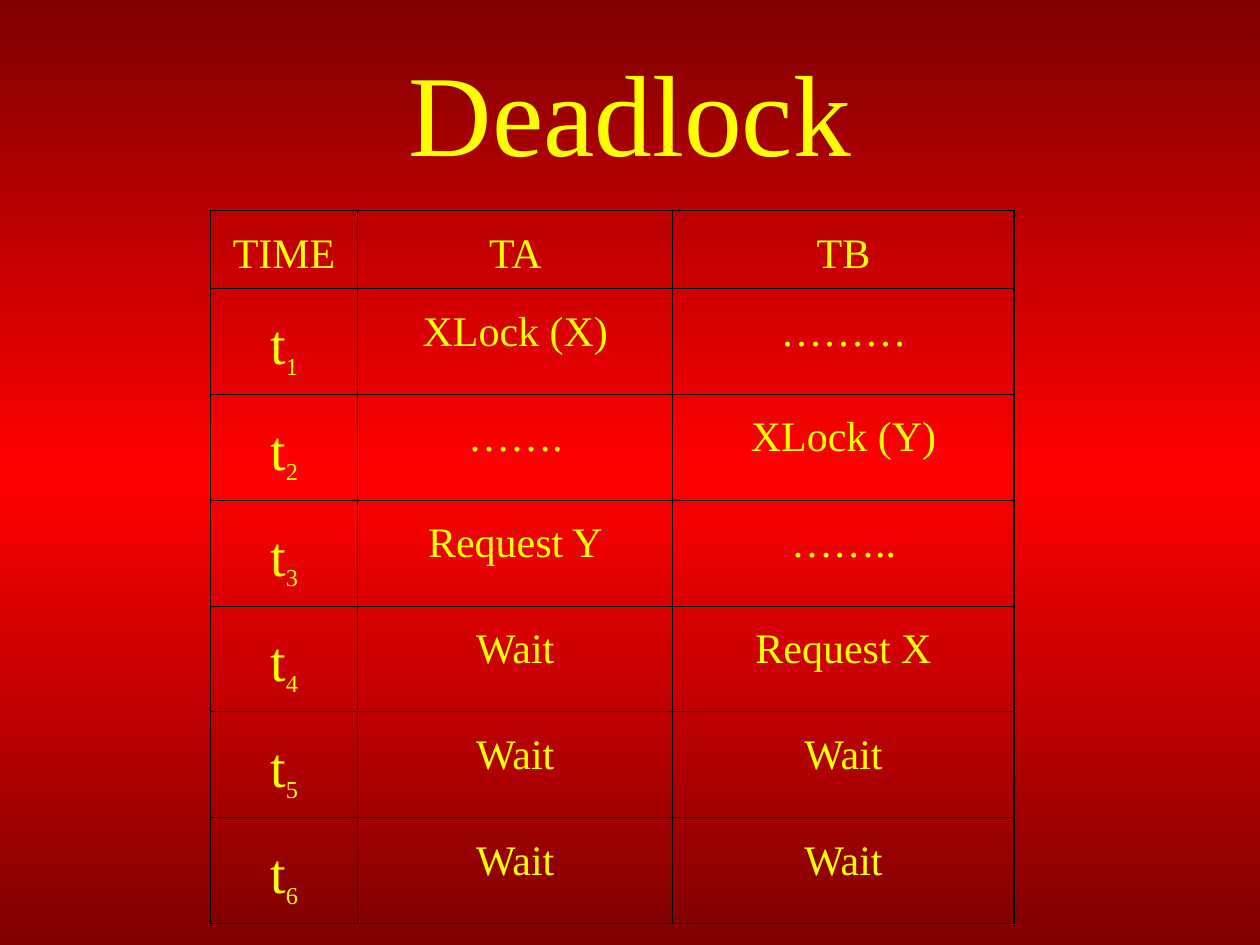
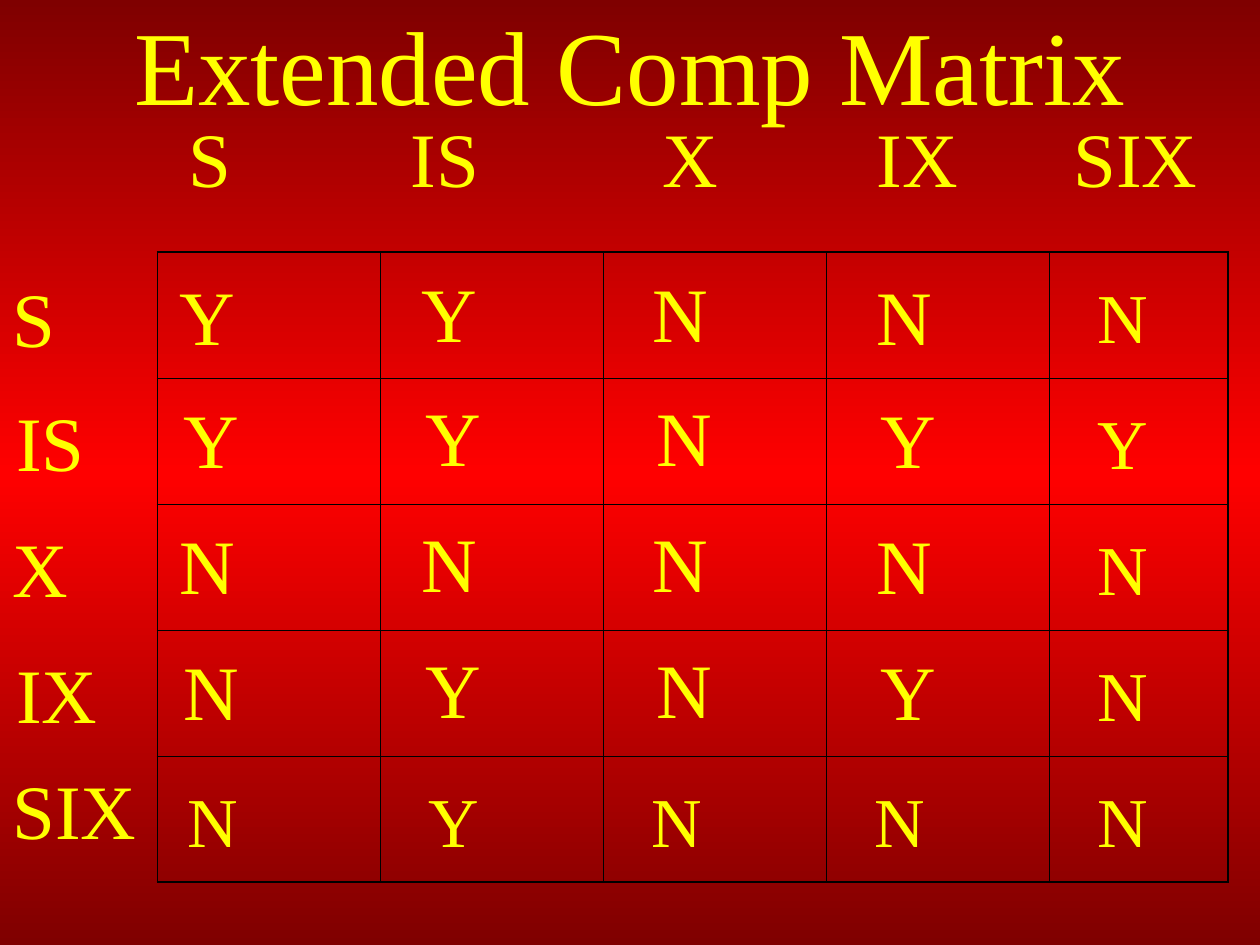
from copy import deepcopy

from pptx import Presentation
from pptx import util as u
from pptx.dml.color import RGBColor
from pptx.enum import text
from pptx.oxml.ns import qn
from lxml import etree

YELLOW, BLACK = "FFFF00", "000000"
DARK_RED, RED = "7F0000", "FF0000"
FONT = "Times New Roman"
OUTER, INNER = 1.08, 0.45  # table rule widths in points


def rgb(value):
    return RGBColor.from_string(value)


class Deck:
    """Holds the shared style and the slide being filled."""

    def __init__(self):
        self.prs = Presentation()
        self.prs.slide_width, self.prs.slide_height = u.Inches(10), u.Inches(7.5)
        self.slide = None
        self.paint_background()

    def paint_background(self):
        master = self.prs.slide_master
        fill = master.background.fill
        fill.gradient()
        fill.gradient_angle = 270
        stop_list = next(master._element.iter(qn("a:gsLst")))
        stop_list.append(deepcopy(stop_list[0]))
        bands = [(0, DARK_RED), (0.5, RED), (1, DARK_RED)]
        for stop, (position, color) in zip(fill.gradient_stops, bands):
            stop.position = position
            stop.color.rgb = rgb(color)

    def style(self, paragraph, size, align=text.PP_ALIGN.LEFT):
        paragraph.alignment = align
        font = paragraph.font
        font.name, font.size, font.color.rgb = FONT, u.Pt(size), rgb(YELLOW)

    def add_slide(self, heading, top, height, size):
        self.slide = self.prs.slides.add_slide(self.prs.slide_layouts[5])
        title = self.slide.shapes.title
        title.left, title.top = u.Inches(0.75), u.Inches(top)
        title.width, title.height = u.Inches(8.5), u.Inches(height)
        frame = title.text_frame
        frame.text = heading
        frame.auto_size = text.MSO_AUTO_SIZE.NONE
        frame.vertical_anchor = text.MSO_ANCHOR.MIDDLE
        self.style(frame.paragraphs[0], size, text.PP_ALIGN.CENTER)

    def add_group(self):
        return self.slide.shapes.add_group_shape().shapes

    def add_label(self, shapes, words, left, top, width, tabs=()):
        box = shapes.add_textbox(u.Inches(left), u.Inches(top),
                                 u.Inches(width), u.Inches(0.84))
        frame = box.text_frame
        frame.word_wrap = True
        frame.auto_size = text.MSO_AUTO_SIZE.NONE
        paragraph = frame.paragraphs[0]
        paragraph.text = words
        if tabs:
            tab_list = etree.SubElement(paragraph._p.get_or_add_pPr(), qn("a:tabLst"))
            for position in tabs:
                etree.SubElement(tab_list, qn("a:tab"),
                                 pos=str(u.Inches(position)), algn="l")
        self.style(paragraph, 44)

    def add_grid(self, left, top, widths, heights):
        """Adds an unfilled table with a heavier outer frame."""
        table = self.slide.shapes.add_table(
            len(heights), len(widths), u.Inches(left), u.Inches(top),
            u.Inches(sum(widths)), u.Inches(sum(heights))).table
        table.first_row = table.horz_banding = False
        for column, width in zip(table.columns, widths):
            column.width = u.Inches(width)
        for row, height in zip(table.rows, heights):
            row.height = u.Inches(height)
        last_row, last_column = len(heights) - 1, len(widths) - 1
        for r in range(len(heights)):
            for c in range(len(widths)):
                edges = {"L": c == 0, "R": c == last_column,
                         "T": r == 0, "B": r == last_row}
                self.rule_cell(table.cell(r, c), edges)
        return table

    def rule_cell(self, cell, edges):
        properties = cell._tc.get_or_add_tcPr()
        for side, is_outer in edges.items():
            line = etree.SubElement(properties, qn(f"a:ln{side}"),
                                    w=str(u.Pt(OUTER if is_outer else INNER)))
            fill = etree.SubElement(line, qn("a:solidFill"))
            etree.SubElement(fill, qn("a:srgbClr"), val=BLACK)
        cell.fill.background()

    def write_cell(self, cell, words, size, align=text.PP_ALIGN.LEFT, indent=0):
        paragraph = cell.text_frame.paragraphs[0]
        paragraph.text = words
        paragraph.line_spacing = 1.3
        if indent:
            paragraph._p.get_or_add_pPr().set("marL", str(u.Inches(indent)))
        self.style(paragraph, size, align)
        return paragraph


def build_deadlock(deck):
    deck.add_slide("Deadlock", 0.25, 1.25, 66)
    steps = [("XLock (X)", "………"), ("…….", "XLock (Y)"), ("Request Y", "…….."),
             ("Wait", "Request X"), ("Wait", "Wait"), ("Wait", "Wait")]
    schedule = deck.add_grid(1.67, 1.67, [1.17, 2.5, 2.71],
                             [0.62] + [0.84] * len(steps))
    center = text.PP_ALIGN.CENTER
    for c, heading in enumerate(["TIME", "TA", "TB"]):
        deck.write_cell(schedule.cell(0, c), heading, 24, center)
    for r, actions in enumerate(steps, 1):
        # Time with its subscript
        time = deck.write_cell(schedule.cell(r, 0), "t", 32, center)
        index = time.add_run()
        index.text = str(r)
        index.font.size = u.Pt(24)
        index.font._element.set("baseline", "-25000")
        for c, action in enumerate(actions, 1):
            deck.write_cell(schedule.cell(r, c), action, 24, center)


def build_matrix(deck):
    deck.add_slide("Extended Comp Matrix", 0, 1, 60)
    # Lock modes with label widths that leave a little room beside the text
    modes = {"S": 0.6, "IS": 0.8, "X": 0.7, "IX": 0.9, "SIX": 1.24}
    answers = ["YYNNN", "YYNYY", "NNNNN", "NYNYN", "NYNNN"]
    matrix = deck.add_grid(1.25, 2, [1.77] * 4 + [1.42], [1] * 5)

    # Last row and last column are written in the table itself
    for r, row in enumerate(answers):
        for c, answer in enumerate(row):
            if 4 in (r, c):
                indent = 0.14 if c == 0 else 0.28
                deck.write_cell(matrix.cell(r, c), answer, 40, indent=indent)

    # Column headings
    deck.add_label(deck.slide.shapes, "\t".join(modes), 1.4, 0.83, 8.3,
                   tabs=[1.76, 3.76, 5.46, 7.02])

    # Answers laid over the other cells; every second row sits slightly right
    tops = [2.08, 3.06, 4.06, 5.06]
    overlay = deck.add_group()
    for c, (left, lift) in enumerate([(1.33, 0), (3.25, 0.02), (5.08, 0.02), (6.86, 0)]):
        for r, top in enumerate(tops):
            deck.add_label(overlay, answers[r][c], left + 0.03 * (r % 2),
                           top - lift, 0.66)

    # Row headings
    row_headings = deck.add_group()
    for r, (mode, width) in enumerate(modes.items()):
        top = tops[r] + 0.02 if r < len(tops) else 6
        deck.add_label(row_headings, mode, 0.03 * (r % 2), top, width)


def main():
    deck = Deck()
    build_deadlock(deck)
    build_matrix(deck)
    deck.prs.save("out.pptx")


if __name__ == "__main__":
    main()
